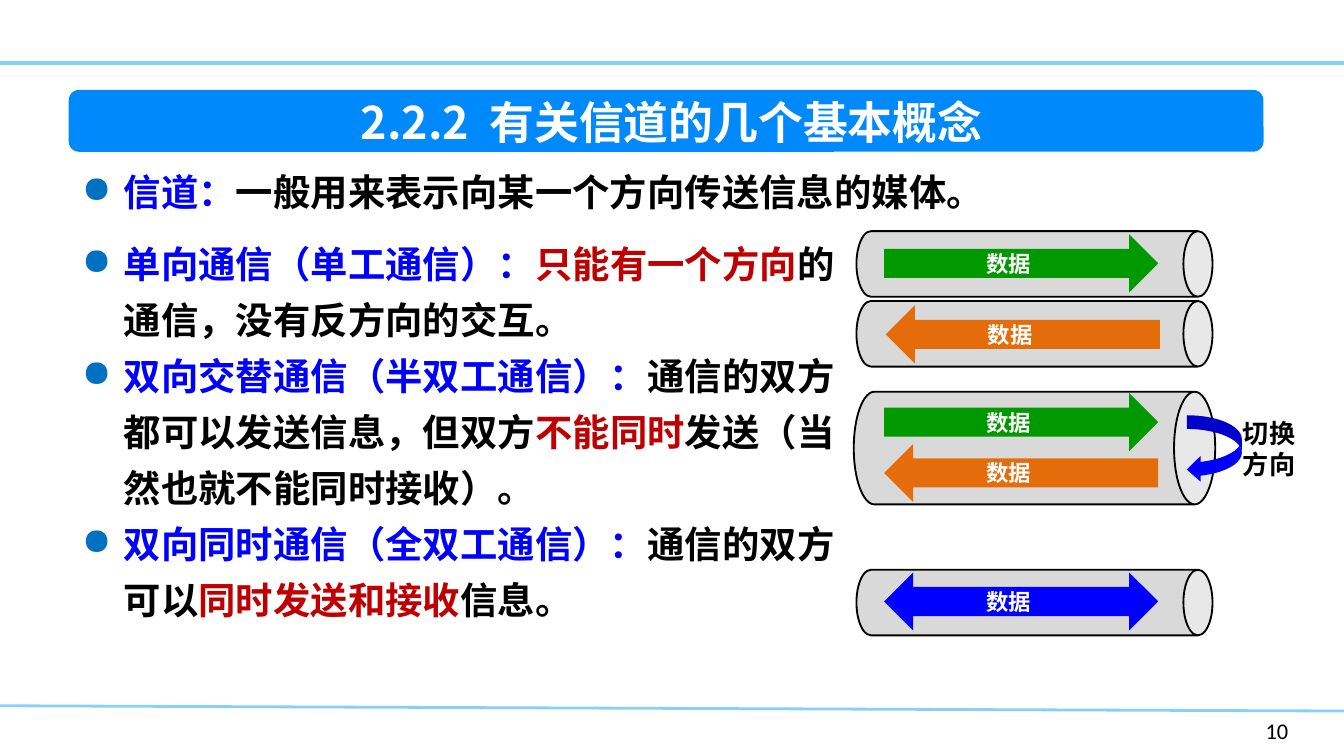
from lxml import etree
from pptx import Presentation
from pptx.dml.color import RGBColor
from pptx.enum.shapes import MSO_CONNECTOR, MSO_SHAPE
from pptx.enum.text import MSO_ANCHOR, PP_ALIGN
from pptx.oxml.ns import qn
from pptx.util import Cm, Pt

CAN = MSO_SHAPE.CAN
ROUND = MSO_SHAPE.ROUNDED_RECTANGLE
RIGHT = MSO_SHAPE.RIGHT_ARROW
LEFT = MSO_SHAPE.LEFT_ARROW
BOTH = MSO_SHAPE.LEFT_RIGHT_ARROW
CURVED = MSO_SHAPE.CURVED_LEFT_ARROW
STRAIGHT = MSO_CONNECTOR.STRAIGHT
MIDDLE = MSO_ANCHOR.MIDDLE
TOP = MSO_ANCHOR.TOP
CENTER = PP_ALIGN.CENTER

BLACK = RGBColor(0x00, 0x00, 0x00)
WHITE = RGBColor(0xFF, 0xFF, 0xFF)
BLUE = RGBColor(0x00, 0x00, 0xFF)
RED = RGBColor(0xC0, 0x00, 0x00)
GREEN = RGBColor(0x00, 0x99, 0x00)
ORANGE = RGBColor(0xE4, 0x6C, 0x0A)
GRAY = RGBColor(0xD9, 0xD9, 0xD9)
SKY = RGBColor(0x85, 0xD1, 0xF7)
BANNER = RGBColor(0x00, 0x89, 0xFA)
DOT = "0070C0"
FONT = "Noto Sans CJK SC"

CHANNEL = [
    [("信道：", BLUE), ("一般用来表示向某一个方向传送信息的媒体。", BLACK)],
]
MODES = [
    [("单向通信（单工通信）：", BLUE), ("只能有一个方向", RED),
     ("的通信，没有反方向的交互。", BLACK)],
    [("双向交替通信（半双工通信）：", BLUE),
     ("通信的双方都可以发送信息，但双方", BLACK), ("不能同时", RED),
     ("发送（当然也就不能同时接收）。", BLACK)],
    [("双向同时通信（全双工通信）：", BLUE), ("通信的双方可以", BLACK),
     ("同时发送和接收", RED), ("信息。", BLACK)],
]
TUBES = [
    (4.99, 6.73, 1.24, 0.444),
    (6.31, 6.73, 1.24, 0.444),
    (8.47, 6.83, 2.13, 0.365),
    (11.39, 6.73, 1.24, 0.444),
]
ARROWS = [
    (RIGHT, 16.71, 4.98, GREEN),
    (LEFT, 16.74, 6.32, ORANGE),
    (RIGHT, 16.71, 7.98, GREEN),
    (LEFT, 16.71, 8.94, ORANGE),
    (BOTH, 16.71, 11.37, BLUE),
]


def style(run, size, color, bold=True, name=FONT):
    font = run.font
    font.size = Pt(size)
    font.bold = bold
    font.color.rgb = color
    font.name = name
    east = etree.SubElement(run._r.get_or_add_rPr(), qn("a:ea"))
    east.set("typeface", name)


def add_line(slide, start, end, width):
    line = slide.shapes.add_connector(
        STRAIGHT, Cm(0), Cm(start), Cm(25.4), Cm(end))
    line.line.color.rgb = SKY
    line.line.width = Pt(width)
    etree.SubElement(line._element.spPr, qn("a:effectLst"))


def add_shape(slide, kind, x, y, w, h, fill, adjust=(), edge=None):
    shape = slide.shapes.add_shape(kind, Cm(x), Cm(y), Cm(w), Cm(h))
    shape.shadow.inherit = False
    shape.fill.solid()
    shape.fill.fore_color.rgb = fill
    if edge is None:
        shape.line.fill.background()
    else:
        shape.line.color.rgb = edge
        shape.line.width = Pt(1)
    for index, value in enumerate(adjust):
        shape.adjustments[index] = value
    return shape


def add_title(slide, text):
    banner = add_shape(slide, ROUND, 1.3, 1.7, 22.58, 1.17, BANNER, (0.167,))
    title = slide.shapes.title
    banner._element.addnext(title._element)
    title.left, title.top = Cm(3.48), Cm(1.78)
    title.width, title.height = Cm(18.42), Cm(1.02)
    frame = title.text_frame
    frame.text = text
    frame.vertical_anchor = MIDDLE
    frame.paragraphs[0].alignment = CENTER
    style(frame.paragraphs[0].runs[0], 24, WHITE)


def add_label(slide, x, y, w, h, text, size, color, bold=True,
              name=FONT, anchor=MIDDLE, pitch=None):
    box = slide.shapes.add_textbox(Cm(x), Cm(y), Cm(w), Cm(h))
    frame = box.text_frame
    frame.text = text
    frame.word_wrap = False
    frame.vertical_anchor = anchor
    for para in frame.paragraphs:
        if pitch:
            para.line_spacing = Pt(pitch)
        style(para.runs[0], size, color, bold, name)


def add_bullet(para):
    props = para._p.get_or_add_pPr()
    props.set("marL", str(Cm(0.79)))
    props.set("indent", str(Cm(-0.79)))
    tint = etree.SubElement(props, qn("a:buClr"))
    etree.SubElement(tint, qn("a:srgbClr")).set("val", DOT)
    etree.SubElement(props, qn("a:buChar")).set("char", "●")


def add_list(slide, y, w, items):
    box = slide.shapes.add_textbox(Cm(1.3), Cm(y), Cm(w), Cm(8.81))
    frame = box.text_frame
    frame.word_wrap = True
    for index, item in enumerate(items):
        para = frame.add_paragraph() if index else frame.paragraphs[0]
        add_bullet(para)
        para.line_spacing = Pt(30)
        for text, color in item:
            run = para.add_run()
            run.text = text
            style(run, 20, color)


def add_tube(slide, mid, length, thick, adjust):
    tube = add_shape(slide, CAN, 19.55 - thick / 2, mid - length / 2,
                     thick, length, GRAY, (adjust,), BLACK)
    tube.rotation = 90


def add_arrow(slide, kind, x, mid, color):
    add_shape(slide, kind, x, mid - 0.55, 5.18, 1.1, color)
    add_label(slide, x + 1.68, mid - 0.38, 1.37, 0.76, "数据", 12, WHITE)


def main():
    deck = Presentation()
    deck.slide_width, deck.slide_height = Cm(25.4), Cm(14.29)
    slide = deck.slides.add_slide(deck.slide_layouts[5])
    add_line(slide, 13.34, 13.44, 1.5)
    add_line(slide, 1.19, 1.19, 2)
    add_title(slide, "2.2.2  有关信道的几个基本概念")
    add_label(slide, 23.67, 13.44, 1.55, 0.76, "10", 12, BLACK,
              False, "Calibri", TOP)
    add_list(slide, 2.87, 22.5, CHANNEL)
    add_list(slide, 4.22, 15.14, MODES)
    for tube in TUBES:
        add_tube(slide, *tube)
    for arrow in ARROWS:
        add_arrow(slide, *arrow)
    add_shape(slide, CURVED, 22.43, 7.85, 1.04, 1.27, BLUE,
              (0.25, 0.467, 0.25))
    add_label(slide, 23.24, 7.75, 1.5, 1.45, "切换\n方向", 14, BLACK,
              pitch=17)
    deck.save("out.pptx")


if __name__ == "__main__":
    main()
